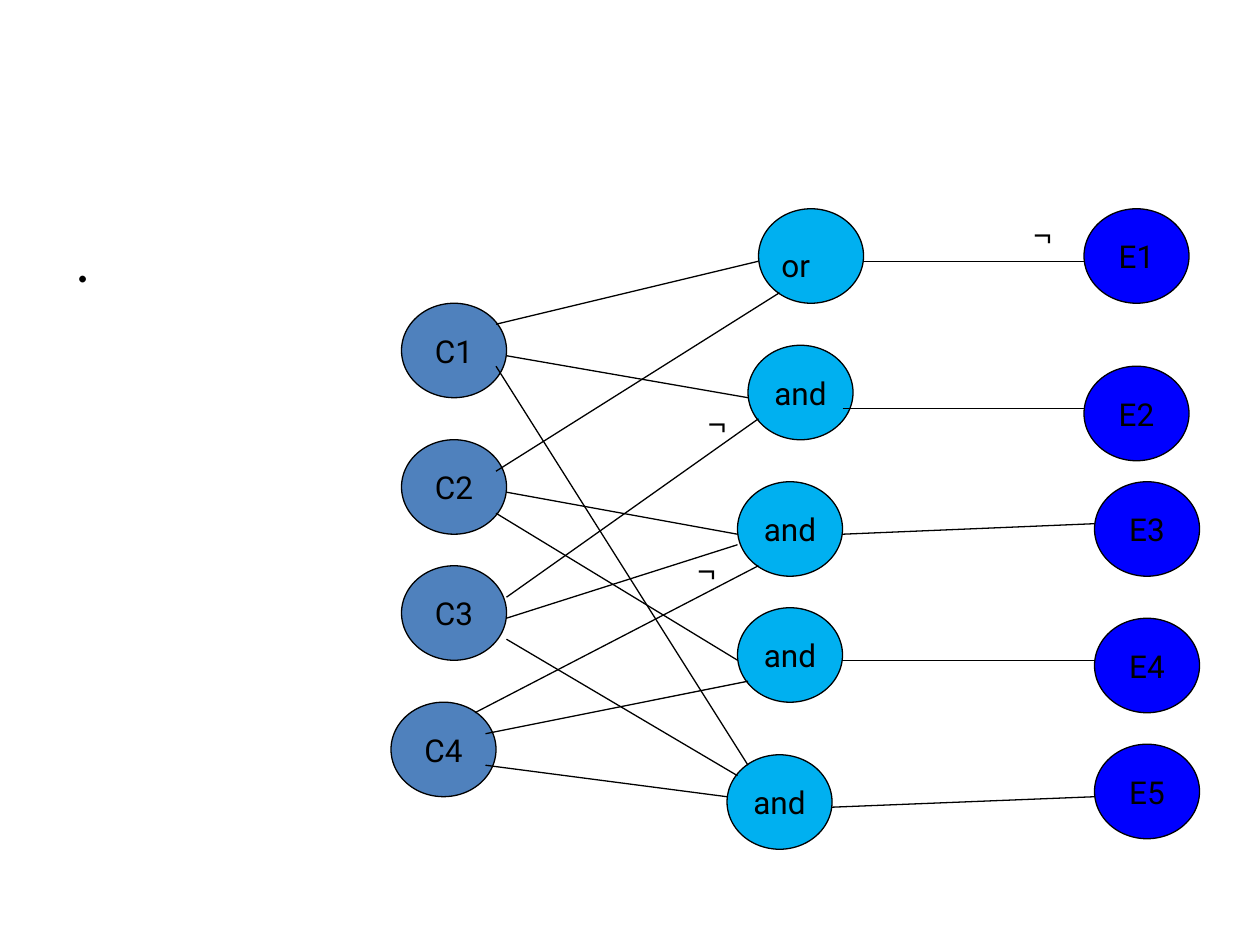
from dataclasses import dataclass

from lxml import etree
from pptx import Presentation
from pptx.dml.color import RGBColor
from pptx.enum.shapes import MSO_CONNECTOR, MSO_SHAPE
from pptx.enum.text import MSO_ANCHOR, PP_ALIGN
from pptx.oxml.ns import qn
from pptx.util import Inches, Pt

OVAL = MSO_SHAPE.OVAL
STRAIGHT = MSO_CONNECTOR.STRAIGHT
MIDDLE = MSO_ANCHOR.MIDDLE
CENTER = PP_ALIGN.CENTER


@dataclass(frozen=True)
class Theme:
    ink: RGBColor = RGBColor(0, 0, 0)
    cause: RGBColor = RGBColor(0x4F, 0x81, 0xBD)
    gate: RGBColor = RGBColor(0x00, 0xB0, 0xF0)
    effect: RGBColor = RGBColor(0x00, 0x00, 0xFF)
    node_font: str = "Roboto"
    sign_font: str = "Arial"
    body_font: str = "Calibri"
    label_size: int = 18
    body_size: int = 32
    line_width: float = 0.75


THEME = Theme()

# Grid of twelve cells to the inch; nodes are 10 columns by 9 rows.
CELLS_PER_INCH = 12
GRID_LEFT, GRID_TOP = 0.02, -0.01
NODE_COLUMNS, NODE_ROWS = 10, 9

# Text, column, row
CAUSES = [("C1", 38, 29), ("C2", 38, 42), ("C3", 38, 54), ("C4", 37, 67)]
GATES = [("", 72, 20), ("and", 71, 33), ("and", 70, 46), ("and", 70, 58), ("and", 69, 72)]
EFFECTS = [("E1", 103, 20), ("E2", 103, 35), ("E3", 104, 46), ("E4", 104, 59), ("E5", 104, 71)]

# Start column and row, end column and row
CAUSE_LINKS = [
    (47, 31, 72, 25), (47, 45, 74, 28), (48, 34, 71, 38), (47, 35, 71, 73),
    (48, 47, 70, 51), (47, 49, 70, 63), (48, 57, 72, 40), (48, 59, 70, 52),
    (48, 61, 70, 74), (45, 68, 72, 54), (46, 70, 71, 65), (46, 73, 69, 76),
]
EFFECT_LINKS = [
    (82, 25, 103, 25), (80, 39, 103, 39), (80, 51, 104, 50),
    (80, 63, 104, 63), (79, 77, 104, 76),
]

# Text, font, column, row, columns wide
LABELS = [
    ("or", THEME.node_font, 73, 23, 6),
    ("¬", THEME.sign_font, 66, 38, 6),
    ("¬", THEME.sign_font, 65, 52, 4),
    ("¬", THEME.sign_font, 97, 20, 6),
]
LABEL_HEIGHT = 0.4


def grid_point(column, row):
    return (Inches(GRID_LEFT + column / CELLS_PER_INCH),
            Inches(GRID_TOP + row / CELLS_PER_INCH))


def cells(count):
    return Inches(count / CELLS_PER_INCH)


def add_span(para, text, font, size):
    span = para.add_run()
    span.text = text
    span.font.name = font
    span.font.size = Pt(size)
    span.font.color.rgb = THEME.ink


def style_line(line):
    line.color.rgb = THEME.ink
    line.width = Pt(THEME.line_width)


def fill_body(page):
    """Place the body placeholder with one hanging, unbulleted paragraph."""
    body = page.placeholders[1]
    body.left, body.top = Inches(0.5), Inches(1.75)
    body.width, body.height = Inches(9), Inches(4.95)
    para = body.text_frame.paragraphs[0]
    properties = para._p.get_or_add_pPr()
    properties.set("marL", str(Inches(0.38)))
    properties.set("indent", str(Inches(-0.38)))
    etree.SubElement(properties, qn("a:buNone"))
    para.space_before = Pt(0)
    add_span(para, ".", THEME.body_font, THEME.body_size)


def add_node(page, text, column, row, color):
    node = page.shapes.add_shape(OVAL, *grid_point(column, row),
                                 cells(NODE_COLUMNS), cells(NODE_ROWS))
    node.shadow.inherit = False
    node.fill.solid()
    node.fill.fore_color.rgb = color
    style_line(node.line)
    if text:
        frame = node.text_frame
        frame.word_wrap = False
        frame.vertical_anchor = MIDDLE
        para = frame.paragraphs[0]
        para.alignment = CENTER
        add_span(para, text, THEME.node_font, THEME.label_size)


def add_link(page, start_column, start_row, end_column, end_row):
    link = page.shapes.add_connector(STRAIGHT, *grid_point(start_column, start_row),
                                     *grid_point(end_column, end_row))
    style_line(link.line)
    etree.SubElement(link._element.spPr, qn("a:effectLst"))


def add_label(page, text, font, column, row, columns):
    box = page.shapes.add_textbox(*grid_point(column, row),
                                  cells(columns), Inches(LABEL_HEIGHT))
    box.text_frame.word_wrap = True
    add_span(box.text_frame.paragraphs[0], text, font, THEME.label_size)


def main():
    deck = Presentation()
    deck.slide_width, deck.slide_height = Inches(10), Inches(7.5)
    page = deck.slides.add_slide(deck.slide_layouts[1])
    title = page.shapes.title._element
    title.getparent().remove(title)
    fill_body(page)
    for nodes, color in ((CAUSES, THEME.cause), (GATES, THEME.gate), (EFFECTS, THEME.effect)):
        for node in nodes:
            add_node(page, *node, color)
    for link in CAUSE_LINKS + EFFECT_LINKS:
        add_link(page, *link)
    for label in LABELS:
        add_label(page, *label)
    deck.save("out.pptx")


if __name__ == "__main__":
    main()
